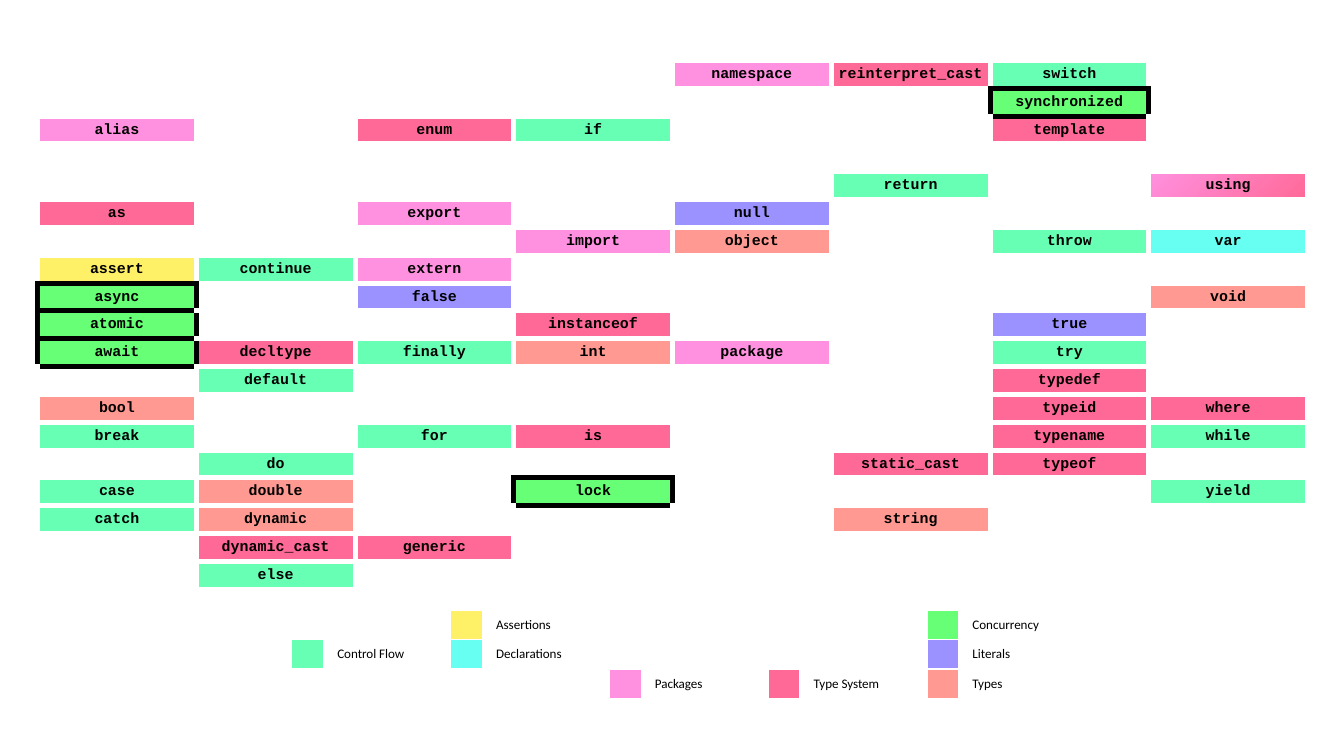
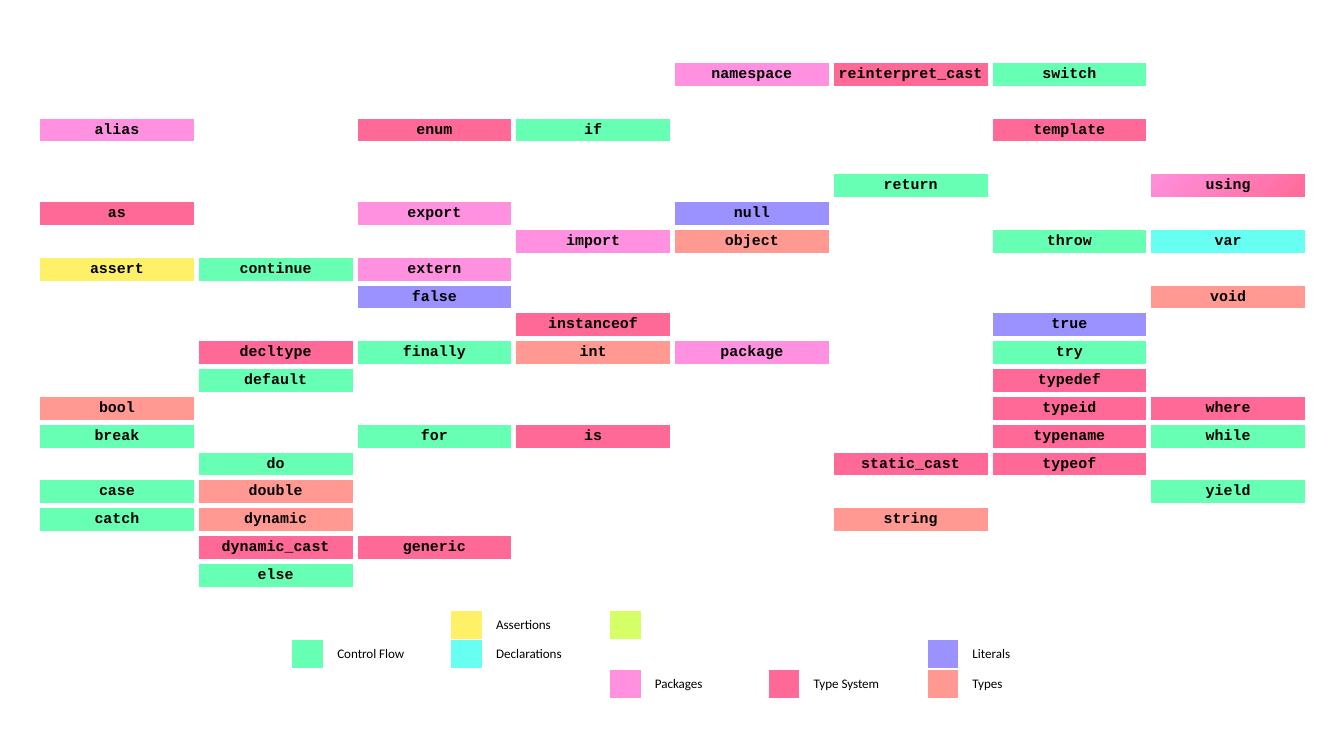
"""Build two keyword tables coloured by category, with and without concurrency."""
import lxml.etree
import pptx
import pptx.dml.color
import pptx.enum.text
import pptx.oxml.ns
import pptx.util

Inches = pptx.util.Inches
qn = pptx.oxml.ns.qn

BLACK, WHITE = "000000", "FFFFFF"
SIDES = {"L": (0, -1), "R": (0, 1), "T": (-1, 0), "B": (1, 0)}
LEGEND = {
    "Control Flow": ("67FFB3", 1, 0),
    "Assertions": ("FFF167", 0, 1),
    "Declarations": ("67FFF1", 1, 1),
    "Packages": ("FF91E0", 2, 2),
    "Type System": ("FF6997", 2, 3),
    "Concurrency": ("67FF75", 0, 4),
    "Literals": ("9B91FF", 1, 4),
    "Types": ("FF9991", 2, 4),
}
UNLABELLED = ("D4FF67", 0, 2)
KEYWORDS = {
    "Control Flow": {
        "switch": (0, 6), "if": (2, 3), "return": (4, 5), "throw": (6, 6),
        "continue": (7, 1), "finally": (10, 2), "try": (10, 6),
        "default": (11, 1), "break": (13, 0), "for": (13, 2), "while": (13, 7),
        "do": (14, 1), "case": (15, 0), "yield": (15, 7), "catch": (16, 0),
        "else": (18, 1),
    },
    "Assertions": {"assert": (7, 0)},
    "Declarations": {"var": (6, 7)},
    "Packages": {
        "namespace": (0, 4), "alias": (2, 0), "export": (5, 2),
        "import": (6, 3), "extern": (7, 2), "package": (10, 4),
        "using": (4, 7),
    },
    "Type System": {
        "reinterpret_cast": (0, 5), "enum": (2, 2), "template": (2, 6),
        "as": (5, 0), "instanceof": (9, 3), "decltype": (10, 1),
        "typedef": (11, 6), "typeid": (12, 6), "where": (12, 7),
        "is": (13, 3), "typename": (13, 6), "static_cast": (14, 5),
        "typeof": (14, 6), "dynamic_cast": (17, 1), "generic": (17, 2),
    },
    "Concurrency": {
        "synchronized": (1, 6), "async": (8, 0), "atomic": (9, 0),
        "await": (10, 0), "lock": (15, 3),
    },
    "Literals": {"null": (5, 4), "false": (8, 2), "true": (9, 6)},
    "Types": {
        "object": (6, 4), "void": (8, 7), "int": (10, 3), "bool": (12, 0),
        "double": (15, 1), "dynamic": (16, 1), "string": (16, 5),
    },
}


def style_cell(cell, text, fills, borders, border_pt, font, size, bold):
    """Set the text, fill (none, solid or gradient) and borders of a cell."""
    rgb = pptx.dml.color.RGBColor.from_string
    cell.text_frame.text = text
    p = cell.text_frame.paragraphs[0]
    for r in p.runs:
        r.font.name, r.font.size, r.font.bold = font, pptx.util.Pt(size), bold
        r.font.color.rgb = rgb(BLACK)
    if not text:
        lxml.etree.SubElement(p._p, qn("a:endParaRPr"), sz=str(size * 100))
    if len(fills) == 2:
        cell.fill.gradient()
        cell.fill.gradient_angle = 315
        for stop, color in zip(cell.fill.gradient_stops, fills):
            stop.color.rgb = rgb(color)
    elif fills:
        cell.fill.solid()
        cell.fill.fore_color.rgb = rgb(fills[0])
    else:
        cell.fill.background()
    tcPr = cell._tc.get_or_add_tcPr()
    for i, side in enumerate(SIDES):
        ln = lxml.etree.Element(qn(f"a:ln{side}"), w=str(pptx.util.Pt(border_pt)))
        solid = lxml.etree.SubElement(ln, qn("a:solidFill"))
        lxml.etree.SubElement(solid, qn("a:srgbClr"), val=borders[side])
        tcPr.insert(i, ln)


def add_grid(s, rows, cols, left, top, width, height):
    """Add a plain table without header or banding."""
    sp = s.shapes.add_table(rows, cols, Inches(left), Inches(top), Inches(width), Inches(height))
    sp.table.first_row = sp.table.horz_banding = False
    return sp


prs = pptx.Presentation()
prs.slide_width = Inches(10)
prs.slide_height = prs.slide_width * 9 // 16

for concurrency in (True, False):
    s = prs.slides.add_slide(prs.slide_layouts[6])
    categories = [c for c in LEGEND if concurrency or c != "Concurrency"]

    words = {}
    for category in categories:
        for word, place in KEYWORDS[category].items():
            fills = [LEGEND[category][0]]
            if word == "using":
                fills.append(LEGEND["Type System"][0])
            words[place] = (word, fills)
    framed = set(KEYWORDS["Concurrency"].values()) if concurrency else set()

    rows, cols = 19, 8
    table = add_grid(s, rows, cols, 0.28, 0.45, 9.45, 3.94).table
    for row in range(rows):
        for col in range(cols):
            cell = table.cell(row, col)
            cell.margin_left = cell.margin_right = cell.margin_top = cell.margin_bottom = 0
            cell.vertical_anchor = pptx.enum.text.MSO_ANCHOR.MIDDLE
            borders = {
                side: BLACK if framed & {(row, col), (row + dy, col + dx)} else WHITE
                for side, (dy, dx) in SIDES.items()
            }
            word, fills = words.get((row, col), ("", []))
            style_cell(cell, word, fills, borders, 3, "Courier New", 8, True)
            cell.text_frame.paragraphs[0].alignment = pptx.enum.text.PP_ALIGN.CENTER

    entries = {}
    for category in categories:
        color, row, pair = LEGEND[category]
        entries[row, 2 * pair] = ("", [color])
        entries[row, 2 * pair + 1] = (category, [])
    if not concurrency:
        color, row, pair = UNLABELLED
        entries[row, 2 * pair] = ("", [color])

    rows, cols = 3, 10
    sp = add_grid(s, rows, cols, 2.17, 4.54, 5.91, 0.65)
    legend = sp.table
    for row in range(rows):
        legend.rows[row].height = Inches(0.16)
    sp.height = Inches(0.65)
    for col in range(cols):
        legend.columns[col].width = Inches(5.91 / 5 - 0.24 if col % 2 else 0.24)
        for row in range(rows):
            label, fills = entries.get((row, col), ("", []))
            borders = dict.fromkeys(SIDES, WHITE)
            style_cell(legend.cell(row, col), label, fills, borders, 1, "Calibri", 7, False)

prs.save("out.pptx")
